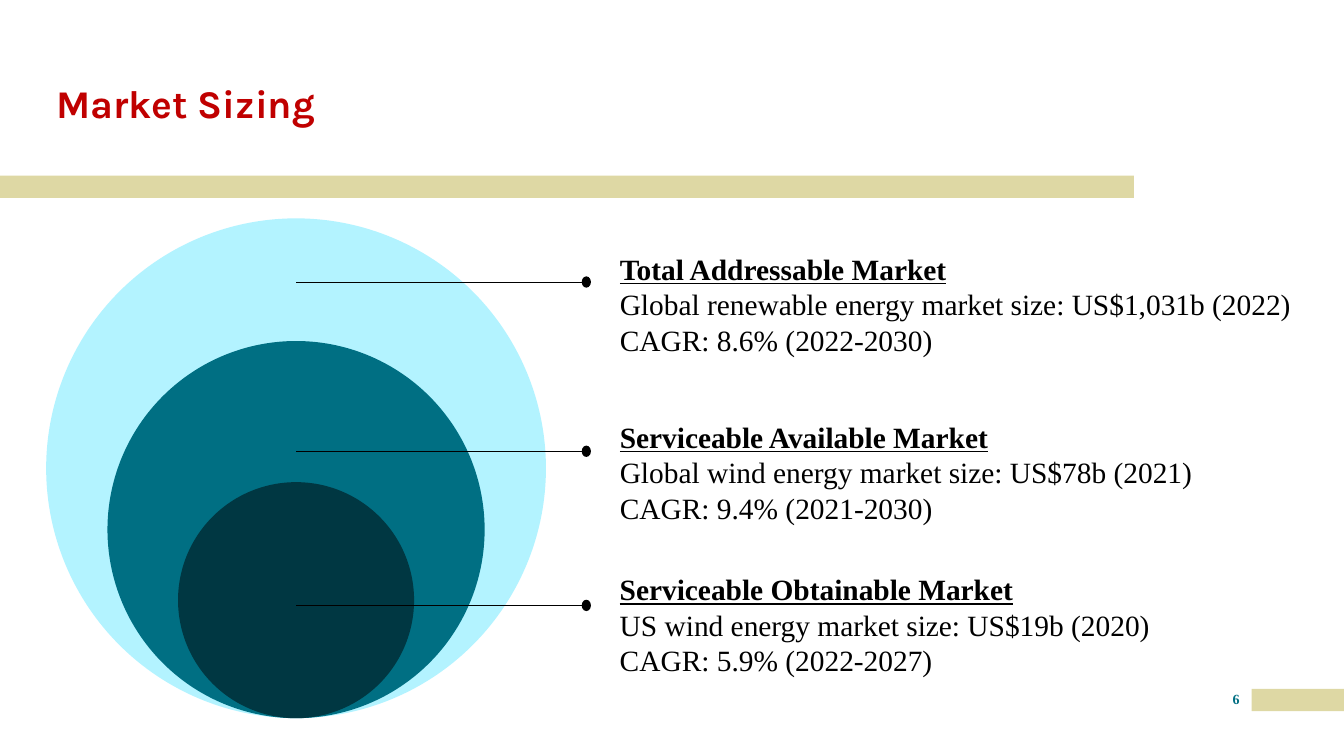
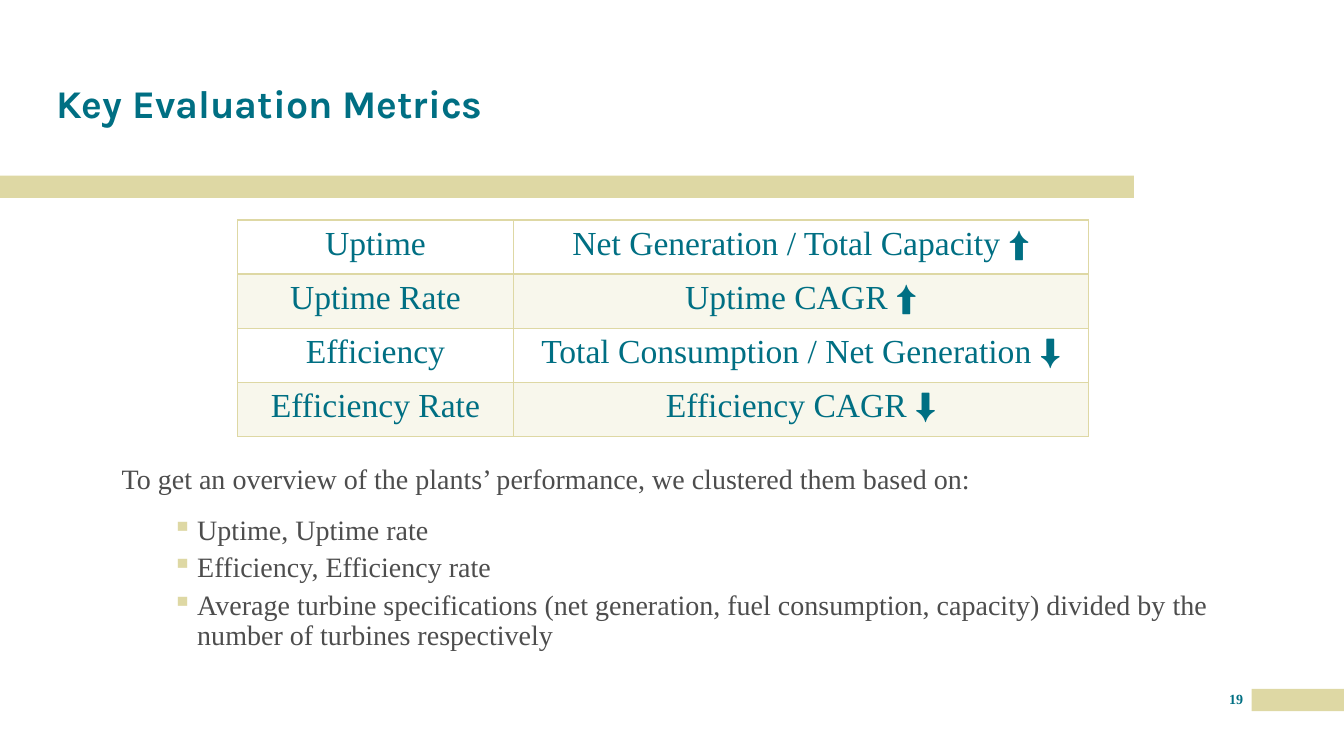
from dataclasses import dataclass

from lxml.etree import SubElement
from pptx import Presentation
from pptx.dml.color import RGBColor
from pptx.enum.shapes import MSO_CONNECTOR as Connector, MSO_SHAPE as Shape
from pptx.enum.text import MSO_ANCHOR as Anchor, MSO_AUTO_SIZE as AutoSize, PP_ALIGN as Align
from pptx.oxml.ns import qn
from pptx.util import Inches, Pt

COLUMNS, ROWS = 160, 90  # square grid over the 13.33 x 7.5 inch page
CELL = Inches(7.5) / ROWS
TITLE_ONLY = 5


@dataclass(frozen=True)
class Theme:
    heading: str = "Karla"
    serif: str = "Times New Roman"
    sand: str = "DED8A4"
    teal: str = "006F83"
    red: str = "C00000"
    black: str = "000000"
    grey: str = "4D4D4D"
    rings: tuple = ("B3F3FF", "006F83", "003742")
    title_size: int = 28
    table_size: int = 24
    label_size: int = 21
    body_size: int = 20
    number_size: int = 10


THEME = Theme()


@dataclass(frozen=True)
class Box:
    """A rectangle in grid units."""
    left: float
    top: float
    width: float
    height: float

    def inner(self, left, top, width, height):
        return Box(self.left + left, self.top + top, width, height)

    @property
    def lengths(self):
        return [round(n * CELL) for n in (self.left, self.top, self.width, self.height)]


TITLE = Box(5.5, 4.8, 149, 15.6)
RULE = Box(0, 20.9, 135, 2.65)
CORNER = Box(149, 82, 11, 2.65)
NUMBER = Box(145.4, 82.2, 3.5, 3)
DIAGRAM = Box(5.5, 26, 149.8, 59.5)
METRICS = Box(28.3, 26.2, 101.3, 25.8)
SUMMARY = Box(13.3, 54.8, 133.3, 24.4)

# diameter, leader row, text row, text width, lines
MARKETS = [
    (59.5, 7.6, 3.3, 82.7, ["Total Addressable Market",
                            "Global renewable energy market size: US$1,031b (2022)",
                            "CAGR: 8.6% (2022-2030)"]),
    (44.9, 27.75, 23.3, 72.4, ["Serviceable Available Market",
                               "Global wind energy market size: US$78b (2021)",
                               "CAGR: 9.4% (2021-2030)"]),
    (28.1, 46.1, 41.45, 68.9, ["Serviceable Obtainable Market",
                               "US wind energy market size: US$19b (2020)",
                               "CAGR: 5.9% (2022-2027)"]),
]
METRIC_ROWS = [
    ("Uptime", "Net Generation / Total Capacity ⬆"),
    ("Uptime Rate", "Uptime CAGR ⬆"),
    ("Efficiency", "Total Consumption / Net Generation ⬇"),
    ("Efficiency Rate", "Efficiency CAGR ⬇"),
]
METRIC_COLUMNS = (32.8, 68.5)
INTRO = "To get an overview of the plants’ performance, we clustered them based on:"
CRITERIA = [
    "Uptime, Uptime rate",
    "Efficiency, Efficiency rate",
    "Average turbine specifications (net generation, fuel consumption, capacity) "
    "divided by the number of turbines respectively",
]


def rgb(color):
    return RGBColor.from_string(color)


def style(para, size, color, name=THEME.serif, bold=False, underline=False):
    font = para.font
    font.name, font.size, font.bold, font.underline = name, Pt(size), bold, underline
    font.color.rgb = rgb(color)


def add_solid(shapes, preset, box, color):
    shape = shapes.add_shape(preset, *box.lengths)
    shape.shadow.inherit = False
    shape.fill.solid()
    shape.fill.fore_color.rgb = rgb(color)
    shape.line.fill.background()


def add_text(page, box, lines):
    frame = page.shapes.add_textbox(*box.lengths).text_frame
    frame.word_wrap = True
    frame.text = "\n".join(lines)
    return frame


def add_page(deck, title, title_color, number):
    """Add a slide with its title, bands and page number."""
    page = deck.slides.add_slide(deck.slide_layouts[TITLE_ONLY])
    for band in (CORNER, RULE):
        add_solid(page.shapes, Shape.RECTANGLE, band, THEME.sand)

    frame = add_text(page, NUMBER, [str(number)])
    frame.margin_left = frame.margin_right = frame.margin_top = frame.margin_bottom = 0
    para = frame.paragraphs[0]
    para.alignment = Align.CENTER
    style(para, THEME.number_size, THEME.teal, bold=True)

    heading = page.shapes.title
    heading.left, heading.top, heading.width, heading.height = TITLE.lengths
    frame = heading.text_frame
    frame.text = title
    frame.auto_size = AutoSize.NONE
    frame.vertical_anchor = Anchor.MIDDLE
    para = frame.paragraphs[0]
    para.alignment, para.line_spacing = Align.LEFT, 0.9
    style(para, THEME.title_size, title_color, THEME.heading, bold=True)
    return page


def add_leader(page, start, length):
    """Draw a line from the start box's corner, ending in a dot."""
    group = page.shapes.add_group_shape()
    left, top, width, _ = start.inner(0, 0, length, 0).lengths
    line = group.shapes.add_connector(Connector.STRAIGHT, left, top, left + width, top)
    line.line.color.rgb = rgb(THEME.black)
    line.line.width = Pt(0.5)
    SubElement(line._element.spPr, qn("a:effectLst"))
    add_solid(group.shapes, Shape.OVAL, start.inner(length - 0.5, -0.7, 1.1, 1.35), THEME.black)


def add_market_diagram(page, box):
    """Nest circles on a common base, each with a leader and a label."""
    center = box.height / 2
    for (diameter, *_), color in zip(MARKETS, THEME.rings):
        circle = box.inner(center - diameter / 2, box.height - diameter, diameter, diameter)
        add_solid(page.shapes, Shape.OVAL, circle, color)
    for _, leader_row, text_row, width, lines in MARKETS:
        add_leader(page, box.inner(center, leader_row, 0, 0), 34.5)
        frame = add_text(page, box.inner(67.1, text_row, width, 13.9), lines)
        frame.auto_size = AutoSize.SHAPE_TO_FIT_TEXT
        for index, para in enumerate(frame.paragraphs):
            style(para, THEME.label_size, THEME.black, bold=index == 0, underline=index == 0)


def set_borders(cell, top, bottom):
    properties = cell._tc.get_or_add_tcPr()
    for side, points in (("L", 1), ("R", 1), ("T", top), ("B", bottom)):
        edge = SubElement(properties, qn(f"a:ln{side}"), w=str(Pt(points)))
        SubElement(SubElement(edge, qn("a:solidFill")), qn("a:srgbClr"), val=THEME.sand)


def set_tint(cell, tinted):
    if not tinted:
        cell.fill.background()
        return
    cell.fill.solid()
    cell.fill.fore_color.rgb = rgb(THEME.sand)
    color = cell._tc.tcPr.find(qn("a:solidFill")).find(qn("a:srgbClr"))
    SubElement(color, qn("a:alpha"), val="20000")


def add_metrics_table(page, box):
    table = page.shapes.add_table(len(METRIC_ROWS), len(METRIC_COLUMNS), *box.lengths).table
    table.first_row = table.horz_banding = False
    for column, width in zip(table.columns, METRIC_COLUMNS):
        column.width = round(width * CELL)
    for r, texts in enumerate(METRIC_ROWS):
        for c, text in enumerate(texts):
            cell = table.cell(r, c)
            cell.text = text
            para = cell.text_frame.paragraphs[0]
            para.alignment = Align.CENTER
            style(para, THEME.table_size, THEME.teal)
            set_borders(cell, top=2 if r == 1 else 1, bottom=2 if r == 0 else 1)
            set_tint(cell, r % 2 == 1)


def add_bullet(para):
    properties = para._p.get_or_add_pPr()
    properties.set("marL", str(Inches(0.75)))
    properties.set("indent", str(Inches(-0.25)))
    SubElement(SubElement(properties, qn("a:buClr")), qn("a:srgbClr"), val=THEME.sand)
    SubElement(properties, qn("a:buChar"), char="▪")


def add_summary(page, box):
    frame = add_text(page, box, [INTRO, *CRITERIA])
    for index, para in enumerate(frame.paragraphs):
        para.line_spacing = 0.9
        if index:
            para.level = 1
            para.space_before = Pt(5)
            add_bullet(para)
        else:
            para.space_after = Pt(10)
        style(para, THEME.body_size, THEME.grey)


def main():
    deck = Presentation()
    deck.slide_width, deck.slide_height = round(COLUMNS * CELL), round(ROWS * CELL)
    add_market_diagram(add_page(deck, "Market Sizing", THEME.red, 6), DIAGRAM)
    page = add_page(deck, "Key Evaluation Metrics", THEME.teal, 19)
    add_summary(page, SUMMARY)
    add_metrics_table(page, METRICS)
    deck.save("out.pptx")


if __name__ == "__main__":
    main()
